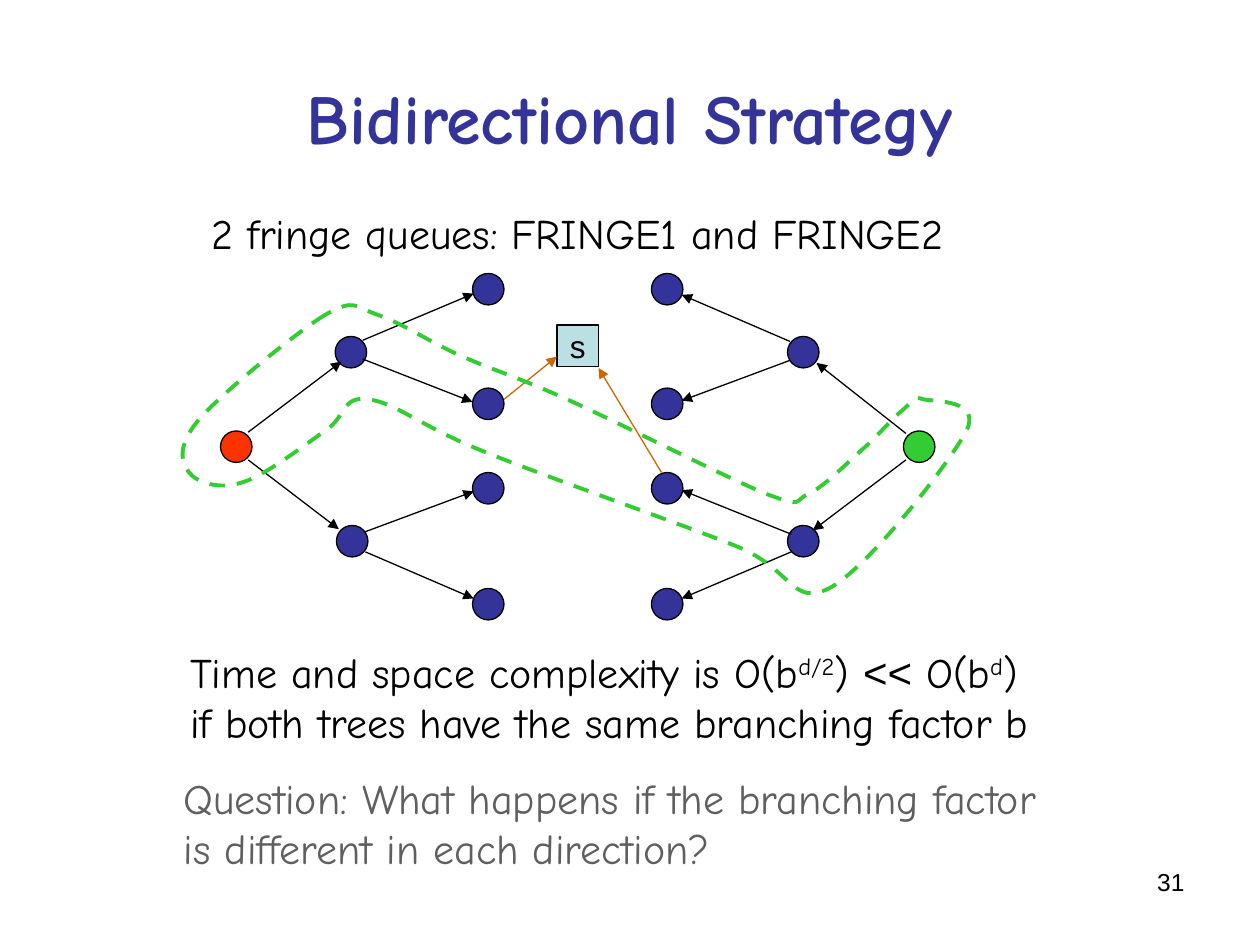
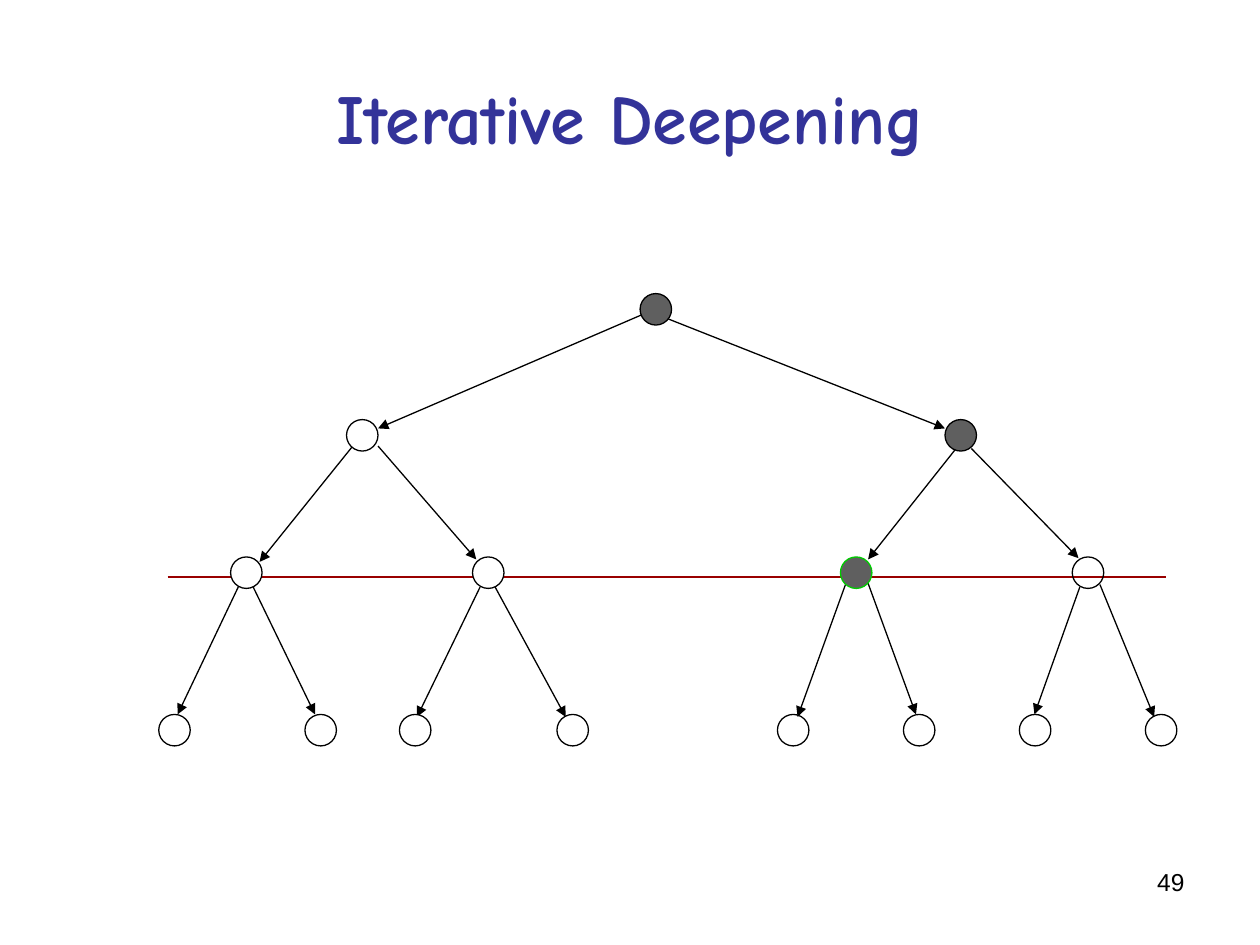
from lxml.etree import SubElement
from pptx import Presentation
from pptx.dml.color import RGBColor
from pptx.enum.dml import MSO_LINE_DASH_STYLE as Dash
from pptx.enum.shapes import MSO_CONNECTOR as Connector, MSO_SHAPE as Shape
from pptx.enum.text import MSO_ANCHOR as Anchor, MSO_AUTO_SIZE as AutoSize, PP_ALIGN as Align
from pptx.oxml.ns import qn
from pptx.util import Emu, Pt

PX = 9144
NODE = 25
HAND_FONT = "Comic Neue"
PLAIN_FONT = "Arial"

INDIGO = RGBColor(0x33, 0x33, 0x99)
BLACK = RGBColor(0x00, 0x00, 0x00)
WHITE = RGBColor(0xFF, 0xFF, 0xFF)
GRAY = RGBColor(0x5F, 0x5F, 0x5F)
GREEN = RGBColor(0x33, 0xCC, 0x33)
GOAL_GREEN = RGBColor(0x00, 0xCC, 0x00)
RED = RGBColor(0xFF, 0x33, 0x00)
DARK_RED = RGBColor(0x99, 0x00, 0x00)
ORANGE = RGBColor(0xCC, 0x66, 0x00)
PALE_BLUE = RGBColor(0xBB, 0xE0, 0xE3)

SEARCH_NODES = [(266, 267), (267, 417), (625, 267), (625, 417)]
SEARCH_NODES += [(left, top) for left in (375, 517) for top in (217, 308, 375, 467)]
SEARCH_EDGES = [
    (197, 343, 271, 287), (197, 365, 269, 420),
    (288, 270, 376, 233), (288, 285, 375, 319),
    (290, 422, 376, 390), (290, 438, 376, 475),
    (719, 344, 648, 288), (719, 365, 645, 421),
    (627, 271, 541, 234), (627, 286, 541, 318),
    (628, 424, 541, 389), (628, 438, 541, 475),
]
MEETING_EDGES = [(400, 317, 442, 283), (525, 375, 475, 292)]
FRINGE_START = (258, 250)
FRINGE_CURVES = [
    (235, 264), (176, 312), (158, 333), (140, 354), (144, 367), (150, 375),
    (156, 383), (174, 389), (192, 383), (210, 378), (242, 353), (258, 342),
    (275, 331), (271, 314), (292, 317), (313, 319), (335, 339), (383, 358),
    (432, 378), (538, 415), (583, 433), (629, 451), (628, 482), (658, 467),
    (689, 451), (754, 367), (767, 342), (779, 317), (742, 319), (733, 317),
    (725, 314), (725, 318), (717, 325), (708, 332), (696, 347), (683, 358),
    (671, 369), (654, 386), (642, 392), (629, 397), (640, 404), (608, 392),
    (576, 379), (490, 335), (450, 317), (410, 299), (392, 294), (367, 283),
    (342, 272), (318, 256), (300, 250), (282, 244), (282, 236), (258, 250),
]

TREE_EDGES = [
    (509, 250, 300, 340), (530, 253, 750, 340),
    (280, 354, 206, 446), (300, 354, 378, 444),
    (758, 357, 689, 444), (771, 356, 856, 443),
    (190, 464, 141, 567), (201, 466, 250, 567),
    (381, 466, 331, 569), (393, 466, 449, 569),
    (671, 464, 633, 569), (689, 463, 727, 567),
    (857, 466, 821, 567), (873, 464, 916, 569),
]
TREE_NODES = [
    (508, 233, GRAY), (275, 333, WHITE), (750, 333, GRAY),
    (183, 442, WHITE), (375, 442, WHITE), (851, 442, None),
]
WHITE_LEAVES = (126, 242, 317, 442)
HOLLOW_LEAVES = (617, 717, 809, 909)
LEAF_TOP = 567


class Sketch:
    def __init__(self, deck):
        self.deck = deck
        self.page = None

    def start_page(self, title, number):
        self.page = self.deck.slides.add_slide(self.deck.slide_layouts[5])
        box = self.page.shapes.title
        box.left, box.top, box.width, box.height = self.emu(50, 30, 900, 125)
        box.text_frame.auto_size = AutoSize.NONE
        box.text_frame.vertical_anchor = Anchor.MIDDLE
        para = box.text_frame.paragraphs[0]
        para.text = title
        self.style(para, 40, INDIGO, align=Align.CENTER)
        para.font.bold = True
        self.text((717, 683, 233, 52), [number], 14, font=PLAIN_FONT,
                  align=Align.RIGHT, wrap=True)

    def emu(self, *lengths):
        return [Emu(length * PX) for length in lengths]

    def style(self, para, size, color, font=HAND_FONT, align=Align.LEFT):
        para.alignment = align
        para.font.size = Pt(size)
        para.font.name = font
        para.font.color.rgb = color

    def text(self, frame, lines, size, color=BLACK, font=HAND_FONT,
             align=Align.LEFT, wrap=False):
        box = self.page.shapes.add_textbox(*self.emu(*frame))
        box.text_frame.word_wrap = wrap
        box.text_frame.auto_size = AutoSize.NONE if wrap else AutoSize.SHAPE_TO_FIT_TEXT
        para = box.text_frame.paragraphs[0]
        self.style(para, size, color, font, align)
        for index, line in enumerate(lines):
            if index:
                para.add_line_break()
            for piece in [line] if isinstance(line, str) else line:
                words, variant = (piece, None) if isinstance(piece, str) else piece
                span = para.add_run()
                span.text = words
                span.font.size = Pt(size)
                span.font.name = PLAIN_FONT if variant == "plain" else font
                span.font.color.rgb = color
                if variant == "raised":
                    span._r.get_or_add_rPr().set("baseline", "30000")

    def shape(self, kind, frame, fill, line=BLACK):
        shape = self.page.shapes.add_shape(kind, *self.emu(*frame))
        self.paint(shape, fill, line, 0.75)
        return shape

    def paint(self, shape, fill, line, weight):
        shape.shadow.inherit = False
        if fill is None:
            shape.fill.background()
        else:
            shape.fill.solid()
            shape.fill.fore_color.rgb = fill
        shape.line.color.rgb = line
        shape.line.width = Pt(weight)

    def node(self, left, top, fill, line=BLACK):
        self.shape(Shape.OVAL, (left, top, NODE, NODE), fill, line)

    def state(self, frame, label):
        square = self.shape(Shape.RECTANGLE, frame, PALE_BLUE)
        square.text_frame.word_wrap = False
        square.text_frame.vertical_anchor = Anchor.MIDDLE
        para = square.text_frame.paragraphs[0]
        para.text = label
        self.style(para, 18, BLACK, PLAIN_FONT, Align.CENTER)

    def line(self, ends, color=BLACK, arrow=True):
        line = self.page.shapes.add_connector(Connector.STRAIGHT, *self.emu(*ends))
        line.line.color.rgb = color
        line.line.width = Pt(0.75)
        properties = line._element.spPr
        if arrow:
            SubElement(properties.find(qn("a:ln")), qn("a:tailEnd"), type="triangle")
        SubElement(properties, qn("a:effectLst"))

    def dashed_loop(self, start, points):
        builder = self.page.shapes.build_freeform(*start, scale=PX)
        builder.add_line_segments(points, close=True)
        loop = builder.convert_to_shape()
        self.paint(loop, None, GREEN, 2.25)
        loop.line.dash_style = Dash.DASH
        segments = list(loop._element.iter(qn("a:lnTo")))
        outline = segments[0].getparent()
        for triple in zip(segments[::3], segments[1::3], segments[2::3]):
            curve = outline.makeelement(qn("a:cubicBezTo"))
            triple[0].addprevious(curve)
            for segment in triple:
                curve.append(segment[0])
                outline.remove(segment)


def bidirectional_page(sketch):
    sketch.start_page("Bidirectional Strategy", "31")
    for left, top in SEARCH_NODES:
        sketch.node(left, top, INDIGO)
    for ends in SEARCH_EDGES:
        sketch.line(ends)
    sketch.node(175, 342, RED)
    sketch.node(717, 342, GREEN)
    sketch.text((158, 160, 601, 50), ["2 fringe queues: FRINGE1 and FRINGE2"], 24)
    sketch.state((442, 258, 33, 33), "s")
    for ends in MEETING_EDGES:
        sketch.line(ends, ORANGE)
    complexity = ["Time and space complexity is O(b", ("d/2", "raised"), ") ",
                  ("<<", "plain"), " O(b", ("d", "raised"), ")"]
    sketch.text((141, 508, 689, 90),
                [complexity, "if both trees have the same branching factor b"], 24)
    sketch.dashed_loop(FRINGE_START, FRINGE_CURVES)
    sketch.text((136, 608, 709, 90),
                ["Question: What happens if the branching factor ",
                 "is different in each direction?"], 24, GRAY)


def deepening_page(sketch):
    sketch.start_page("Iterative Deepening", "49")
    for left in HOLLOW_LEAVES:
        sketch.node(left, LEAF_TOP, None)
    for ends in TREE_EDGES:
        sketch.line(ends)
    for left in WHITE_LEAVES:
        sketch.node(left, LEAF_TOP, WHITE)
    sketch.line((133, 458, 925, 458), DARK_RED, arrow=False)
    for left, top, fill in TREE_NODES:
        sketch.node(left, top, fill)
    sketch.node(667, 442, GRAY, GOAL_GREEN)


def main():
    deck = Presentation()
    deck.slide_width, deck.slide_height = Emu(1000 * PX), Emu(750 * PX)
    sketch = Sketch(deck)
    bidirectional_page(sketch)
    deepening_page(sketch)
    deck.save("out.pptx")


if __name__ == "__main__":
    main()
